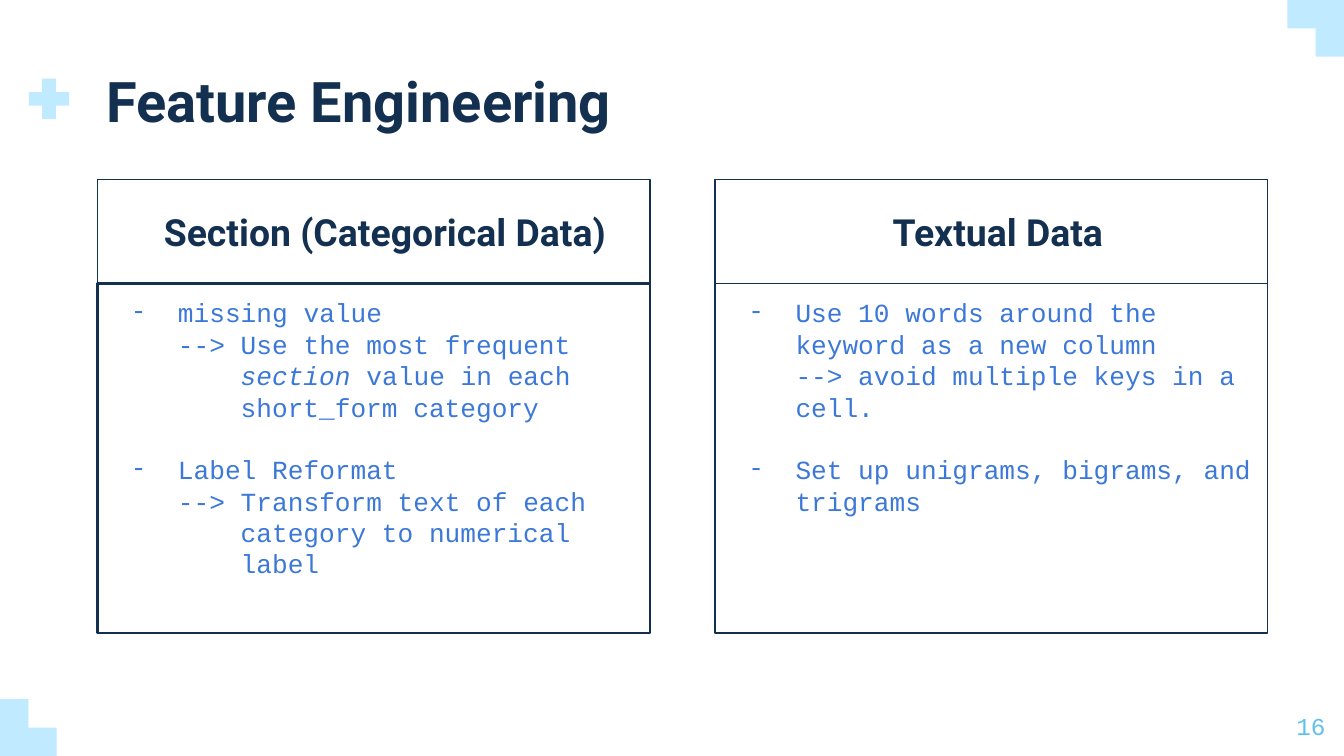
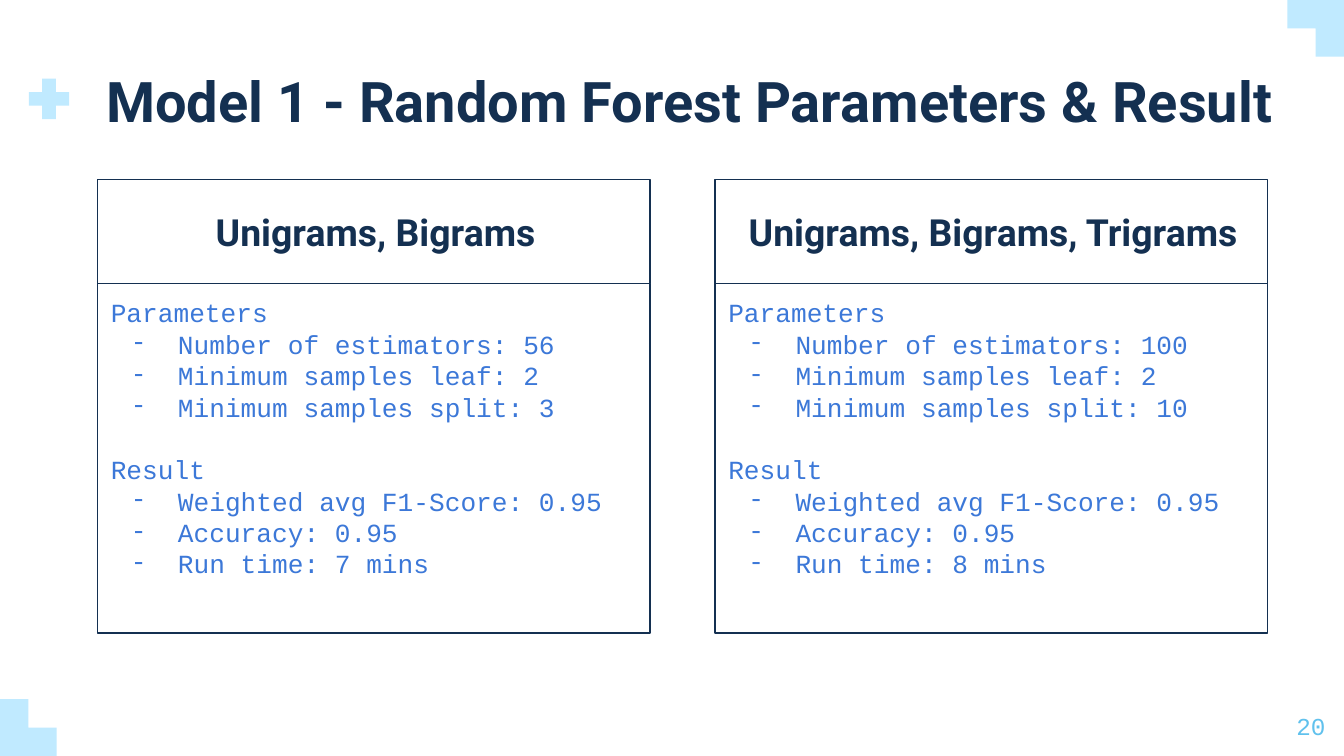
from lxml.etree import SubElement
from pptx import Presentation
from pptx.dml.color import RGBColor
from pptx.enum.shapes import MSO_SHAPE as SHAPE
from pptx.enum.text import MSO_ANCHOR as ANCHOR, MSO_AUTO_SIZE as AUTO, PP_ALIGN as ALIGN
from pptx.oxml.ns import qn
from pptx.util import Pt

NAVY, BLUE, SKY, PALE = "143051", "3C78D8", "60C1ED", "C0EAFF"
HEAD_FONT, BODY_FONT = "Roboto", "Courier New"
CARD_LEFT, CARD_STEP, CARD_W = 52.3, 330.8, 296
HEAD_TOP, HEAD_H, BODY_H = 96, 55.8, 187.4
LINE, BULLET, HANG = 16.8, 25.2, 33.6  # HANG is the width of "--> "

# Corner pieces and the cross beside the title: shape, left, top, size, rotation
DECOR = [
    (SHAPE.CORNER, 689.6, 0, 30.4, 180),
    (SHAPE.CORNER, 0, 374.6, 30.4, 0),
    (SHAPE.CROSS, 15.5, 42.2, 21.6, 0),
]

# Paragraph kinds: left margin and first-line indent
INDENTS = {
    "plain": (0, 0),
    "bullet": (36, -BULLET),
    "more": (36, 0),
    "arrow": (36 + HANG, -HANG),
}


def forest_lines(trees, split, minutes):
    return [
        ("plain", "Parameters"),
        ("bullet", f"Number of estimators: {trees}"),
        ("bullet", "Minimum samples leaf: 2"),
        ("bullet", f"Minimum samples split: {split}"),
        ("plain", "Result"),
        ("bullet", "Weighted avg F1-Score: 0.95"),
        ("bullet", "Accuracy: 0.95"),
        ("bullet", f"Run time: {minutes} mins"),
    ]


def style(font, name, size, color, bold=False):
    font.name, font.size, font.bold = name, Pt(size), bold
    font.color.rgb = RGBColor.from_string(color)


# Each card: heading, border width, index of the line that follows a gap, lines.
# Text between asterisks is italic.
SLIDES = [
    ("Feature Engineering", 607, "16", [
        (" Section (Categorical Data)", 1.5, 2, [
            ("bullet", "missing value"),
            ("arrow", "--> Use the most frequent *section* value in each short_form category"),
            ("bullet", "Label Reformat"),
            ("arrow", "--> Transform text of each category to numerical label"),
        ]),
        ("Textual Data", 0.75, 2, [
            ("bullet", "Use 10 words around the keyword as a new column"),
            ("more", "--> avoid multiple keys in a cell."),
            ("bullet", "Set up unigrams, bigrams, and trigrams"),
        ]),
    ]),
    ("Model 1 - Random Forest Parameters & Result", 630, "20", [
        ("Unigrams, Bigrams ", 0.75, 4, forest_lines(56, 3, 7)),
        ("Unigrams, Bigrams, Trigrams ", 0.75, 4, forest_lines(100, 10, 8)),
    ]),
]

prs = Presentation()
prs.slide_width, prs.slide_height = Pt(720), Pt(405)

for title, title_w, number, cards in SLIDES:
    s = prs.slides.add_slide(prs.slide_layouts[5])

    for kind, left, top, size, turn in DECOR:
        sp = s.shapes.add_shape(kind, Pt(left), Pt(top), Pt(size), Pt(size))
        sp.shadow.inherit = False
        sp.rotation = turn
        sp.adjustments[0] = 0.33 if kind == SHAPE.CROSS else 0.5
        sp.fill.solid()
        sp.fill.fore_color.rgb = RGBColor.from_string(PALE)
        sp.line.fill.background()

    sp = s.shapes.title
    sp.left, sp.top, sp.width, sp.height = Pt(56.9), Pt(35.5), Pt(title_w), Pt(36)
    tf = sp.text_frame
    tf.text = title
    tf.auto_size, tf.word_wrap, tf.vertical_anchor = AUTO.NONE, True, ANCHOR.TOP
    tf.margin_left = tf.margin_top = tf.margin_right = tf.margin_bottom = 0
    p = tf.paragraphs[0]
    p.alignment = ALIGN.LEFT
    style(p.runs[0].font, HEAD_FONT, 30, NAVY, True)

    for i, (heading, border, gap_at, lines) in enumerate(cards):
        left = CARD_LEFT + i * CARD_STEP
        boxes = []
        for top, height, width in [(HEAD_TOP, HEAD_H, 0.75), (HEAD_TOP + HEAD_H, BODY_H, border)]:
            sp = s.shapes.add_shape(SHAPE.RECTANGLE, Pt(left), Pt(top), Pt(CARD_W), Pt(height))
            sp.shadow.inherit = False
            sp.fill.background()
            sp.line.color.rgb = RGBColor.from_string(NAVY)
            sp.line.width = Pt(width)
            tf = sp.text_frame
            tf.word_wrap = True
            tf.margin_left = Pt(7.2)
            tf.margin_top = tf.margin_right = tf.margin_bottom = 0
            boxes.append(tf)
        head, body = boxes

        head.text = heading
        head.vertical_anchor = ANCHOR.MIDDLE
        p = head.paragraphs[0]
        p.alignment = ALIGN.CENTER
        style(p.runs[0].font, HEAD_FONT, 20, NAVY, True)

        body.margin_top = Pt(7.2)
        body.vertical_anchor = ANCHOR.TOP
        for n, (kind, text) in enumerate(lines):
            p = body.add_paragraph() if n else body.paragraphs[0]
            margin, indent = INDENTS[kind]
            pPr = p._p.get_or_add_pPr()
            pPr.set("marL", str(Pt(margin)))
            pPr.set("indent", str(Pt(indent)))
            if kind == "bullet":
                SubElement(SubElement(pPr, qn("a:buClr")), qn("a:srgbClr"), val=BLUE)
                SubElement(pPr, qn("a:buFont"), typeface=BODY_FONT)
                SubElement(pPr, qn("a:buChar"), char="-")
            p.alignment = ALIGN.LEFT
            p.line_spacing = Pt(LINE)
            if n == gap_at:
                p.space_before = Pt(LINE)
            for k, part in enumerate(text.split("*")):
                r = p.add_run()
                r.text = part
                style(r.font, BODY_FONT, 14, BLUE)
                r.font.italic = k % 2 == 1

    sp = s.shapes.add_textbox(Pt(673.9), Pt(373.7), Pt(43.2), Pt(31))
    tf = sp.text_frame
    tf.text = number
    tf.word_wrap = True
    tf.margin_left = tf.margin_top = tf.margin_right = tf.margin_bottom = Pt(7.2)
    p = tf.paragraphs[0]
    p.alignment = ALIGN.RIGHT
    style(p.runs[0].font, BODY_FONT, 13, SKY)

prs.save("out.pptx")
